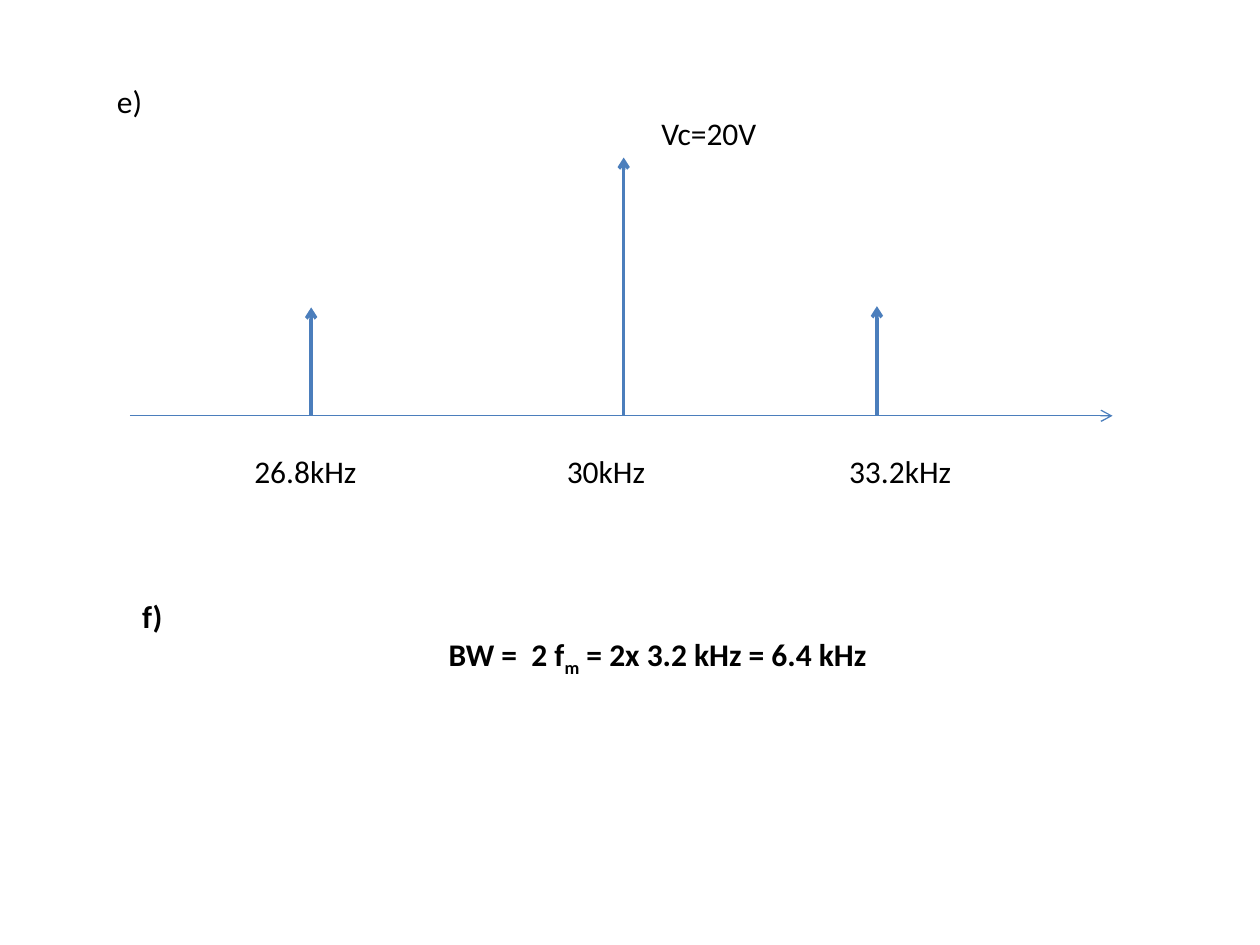
from lxml import etree
from pptx import Presentation
from pptx.dml.color import RGBColor
from pptx.enum.shapes import MSO_CONNECTOR
from pptx.enum.text import MSO_AUTO_SIZE, PP_ALIGN
from pptx.oxml.ns import qn
from pptx.util import Inches, Pt

BLACK = RGBColor(0x00, 0x00, 0x00)
BLUE = RGBColor(0x4B, 0x7E, 0xBC)
STRAIGHT = MSO_CONNECTOR.STRAIGHT
GROW = MSO_AUTO_SIZE.SHAPE_TO_FIT_TEXT
CENTER = PP_ALIGN.CENTER
FONT = {"name": "Calibri", "size": Pt(18), "bold": False}

prs = Presentation()
prs.slide_width, prs.slide_height = Inches(10), Inches(7.5)
slide = prs.slides.add_slide(prs.slide_layouts[6])


def add_arrow(x1, y1, x2, y2, width):
    arrow = slide.shapes.add_connector(
        STRAIGHT, Inches(x1), Inches(y1), Inches(x2), Inches(y2))
    arrow.line.color.rgb = BLUE
    arrow.line.width = Pt(width)
    etree.SubElement(arrow.line._get_or_add_ln(), qn("a:tailEnd"), type="arrow")
    etree.SubElement(arrow._element.spPr, qn("a:effectLst"))


def add_text(left, top, width, height, paragraphs, bold=False):
    """Each paragraph is a list of (text, is_subscript) runs."""
    box = slide.shapes.add_textbox(
        Inches(left), Inches(top), Inches(width), Inches(height))
    frame = box.text_frame
    frame.word_wrap = True
    frame.auto_size = GROW
    for index, runs in enumerate(paragraphs):
        paragraph = frame.add_paragraph() if index else frame.paragraphs[0]
        for text, subscript in runs:
            run = paragraph.add_run()
            run.text = text
            for key, value in {**FONT, "bold": bold}.items():
                setattr(run.font, key, value)
            run.font.color.rgb = BLACK
            if subscript:
                run.font._element.set("baseline", "-25000")
    return frame


# Frequency axis
AXIS_Y = 3.3
add_arrow(1.03, AXIS_Y, 8.83, AXIS_Y, 0.75)

# Spectral lines: x, top, label, label left
spectrum = [
    (2.47, 2.44, "26.8kHz", 1.92),
    (4.95, 1.25, "30kHz", 4.4),
    (6.96, 2.43, "33.2kHz", 6.64),
]
for x, peak, frequency, label_left in spectrum:
    add_arrow(x, AXIS_Y, x, peak, 2)
    add_text(label_left, 3.54, 1.06, 0.4, [[(frequency, False)]])

# Carrier amplitude
add_text(5.15, 0.86, 1.34, 0.4, [[("Vc=20V", False)]])

# Part e
add_text(0.83, 0.6, 1.22, 0.4, [[("e)", False)]])

# Part f: bandwidth
bandwidth = add_text(1.03, 4.69, 8.38, 1.01, [
    [("f)", False)],
    [("BW =  2 f", False), ("m", True), (" = 2x 3.2 kHz = 6.4 kHz", False)],
], bold=True)
bandwidth.paragraphs[1].alignment = CENTER

prs.save("out.pptx")
